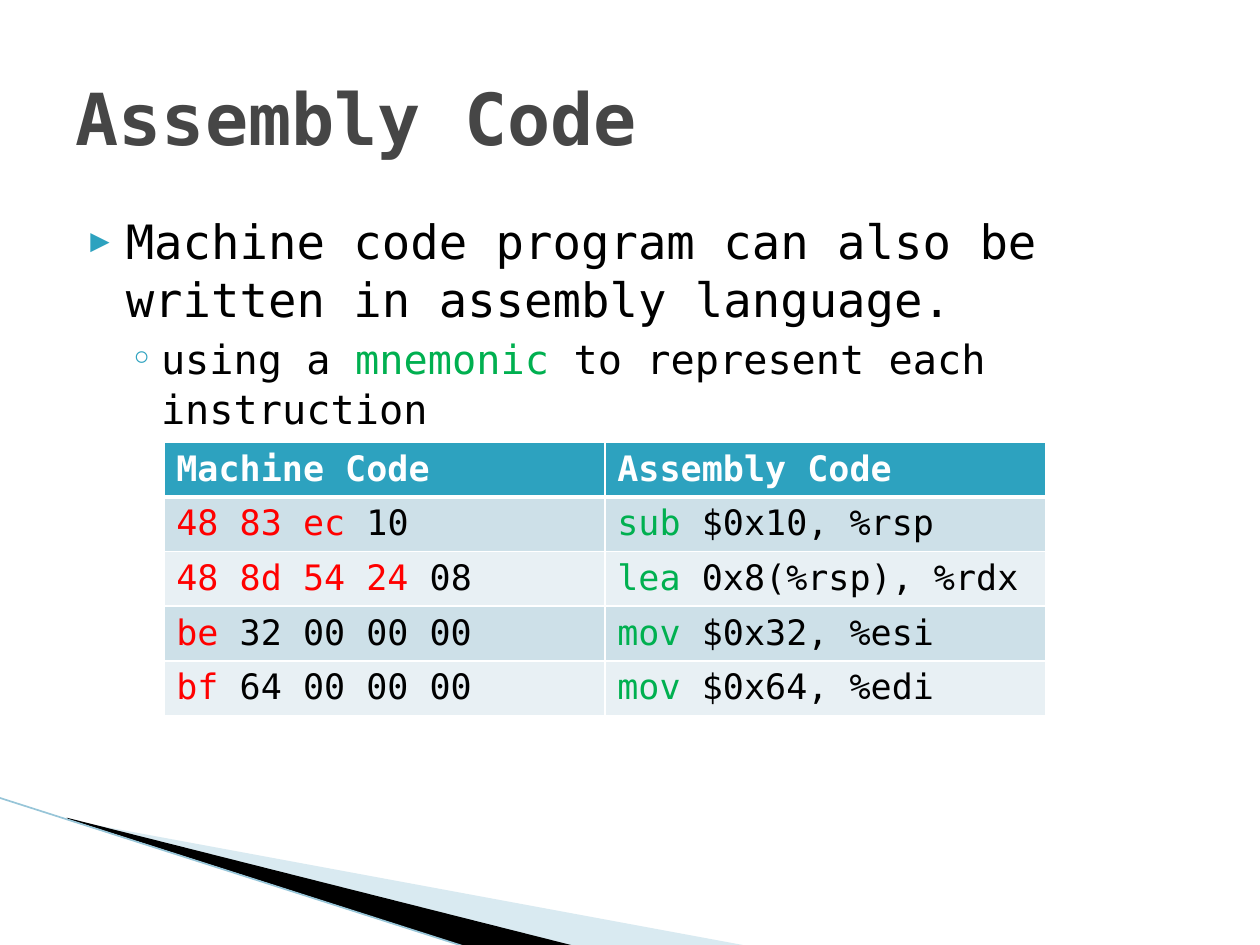
from lxml import etree
from pptx import Presentation
from pptx.dml.color import RGBColor
from pptx.enum.shapes import MSO_CONNECTOR
from pptx.enum.text import MSO_ANCHOR, PP_ALIGN
from pptx.oxml import parse_xml
from pptx.oxml.ns import nsdecls, qn
from pptx.util import Inches, Pt

FONT = "DejaVu Sans Mono"
COLORS = {
    "title": "464646", "text": "000000", "white": "FFFFFF", "accent": "2DA2BF",
    "opcode": "FF0000", "mnemonic": "00B050", "pale": "A0CBDC", "edge": "97C5D8",
    "band_dark": "CDE0E8", "band_light": "E8F0F4",
}


def color(name):
    return RGBColor.from_string(COLORS[name])


def write(paragraph, text, size, fill="text", bold=False):
    run = paragraph.add_run()
    run.text = text
    run.font.name = FONT
    run.font.size = Pt(size)
    run.font.bold = bold
    run.font.color.rgb = color(fill)


def add_bullet(paragraph, character, left, hanging, percent=100):
    properties = paragraph._p.get_or_add_pPr()
    properties.set("marL", str(Inches(left)))
    properties.set("indent", str(-Inches(hanging)))
    for element in (
        f'<a:buClr {nsdecls("a")}><a:srgbClr val="{COLORS["accent"]}"/></a:buClr>',
        f'<a:buSzPct {nsdecls("a")} val="{percent * 1000}"/>',
        f'<a:buFont {nsdecls("a")} typeface="{FONT}"/>',
        f'<a:buChar {nsdecls("a")} char="{character}"/>',
    ):
        properties.append(parse_xml(element))


def set_borders(cell, bottom_width):
    properties = cell._tc.get_or_add_tcPr()
    sides = {"lnL": 1, "lnR": 1, "lnT": 1, "lnB": bottom_width}
    for position, (side, width) in enumerate(sides.items()):
        properties.insert(position, parse_xml(
            f'<a:{side} {nsdecls("a")} w="{Pt(width)}"><a:solidFill>'
            f'<a:srgbClr val="{COLORS["white"]}"/></a:solidFill></a:{side}>'))


class SlideBuilder:
    def __init__(self, presentation):
        self.slide = presentation.slides.add_slide(presentation.slide_layouts[5])

    def wedge(self, points, fill, opacity=100):
        start, *others = [(Inches(x), Inches(y)) for x, y in points]
        builder = self.slide.shapes.build_freeform(*start)
        builder.add_line_segments(others, close=True)
        shape = builder.convert_to_shape()
        shape.shadow.inherit = False
        shape.line.fill.background()
        shape.fill.solid()
        shape.fill.fore_color.rgb = color(fill)
        if opacity < 100:
            hue = shape._element.spPr.find(".//" + qn("a:srgbClr"))
            etree.SubElement(hue, qn("a:alpha")).set("val", str(opacity * 1000))

    def line(self, start, end, fill, width):
        connector = self.slide.shapes.add_connector(
            MSO_CONNECTOR.STRAIGHT, *(Inches(value) for value in start + end))
        connector.line.color.rgb = color(fill)
        connector.line.width = Pt(width)
        etree.SubElement(connector._element.spPr, qn("a:effectLst"))

    def title(self, text):
        title = self.slide.shapes.title
        title.left, title.top = Inches(0.5), Inches(0.3)
        title.width, title.height = Inches(9), Inches(1.25)
        title.text_frame.vertical_anchor = MSO_ANCHOR.MIDDLE
        paragraph = title.text_frame.paragraphs[0]
        paragraph.alignment = PP_ALIGN.LEFT
        write(paragraph, text, size=41, fill="title", bold=True)

    def body(self):
        box = self.slide.shapes.add_textbox(
            Inches(0.5), Inches(1.62), Inches(9), Inches(4.95))
        frame = box.text_frame
        frame.word_wrap = True
        point = frame.paragraphs[0]
        add_bullet(point, "▶", left=0.4, hanging=0.28, percent=68)
        write(point, "Machine code program can also be written in assembly language.",
              size=27)
        detail = frame.add_paragraph()
        add_bullet(detail, "◦", left=0.68, hanging=0.25)
        detail.level = 1
        detail.space_before = Pt(3.2)
        write(detail, "using a ", size=23)
        write(detail, "mnemonic", size=23, fill="mnemonic")
        write(detail, " to represent each instruction", size=23)
        for paragraph in frame.paragraphs:
            paragraph.line_spacing = 1.03

    def cell(self, cell, runs, fill, bold=False, bottom_width=1):
        cell.fill.solid()
        cell.fill.fore_color.rgb = color(fill)
        set_borders(cell, bottom_width)
        for text, text_color in runs:
            write(cell.text_frame.paragraphs[0], text, size=20,
                  fill=text_color, bold=bold)

    def code_table(self, headers, instructions):
        row_count = len(instructions) + 1
        table = self.slide.shapes.add_table(
            row_count, len(headers), Inches(1.3), Inches(3.51),
            Inches(7), Inches(0.41 * row_count)).table
        for column, header in enumerate(headers):
            self.cell(table.cell(0, column), [(header, "white")], "accent",
                      bold=True, bottom_width=3)
        for row, (opcode, operand, mnemonic, arguments) in enumerate(instructions, 1):
            band = "band_dark" if row % 2 else "band_light"
            self.cell(table.cell(row, 0),
                      [(opcode, "opcode"), (" " + operand, "text")], band)
            self.cell(table.cell(row, 1),
                      [(mnemonic, "mnemonic"), (" " + arguments, "text")], band)


def main():
    presentation = Presentation()
    presentation.slide_width, presentation.slide_height = Inches(10), Inches(7.5)
    builder = SlideBuilder(presentation)
    builder.wedge([(0.55, 6.51), (5.95, 7.51), (4.56, 7.51), (0.55, 6.5)],
                  "pale", opacity=40)
    builder.wedge([(0.53, 6.49), (4.57, 7.51), (3.72, 7.52), (0.54, 6.5)], "text")
    builder.line((-0.01, 6.33), (3.71, 7.52), "edge", 0.95)
    builder.body()
    builder.title("Assembly Code")
    builder.code_table(
        ["Machine Code", "Assembly Code"],
        [("48 83 ec", "10", "sub", "$0x10, %rsp"),
         ("48 8d 54 24", "08", "lea", "0x8(%rsp), %rdx"),
         ("be", "32 00 00 00", "mov", "$0x32, %esi"),
         ("bf", "64 00 00 00", "mov", "$0x64, %edi")])
    presentation.save("out.pptx")


if __name__ == "__main__":
    main()
